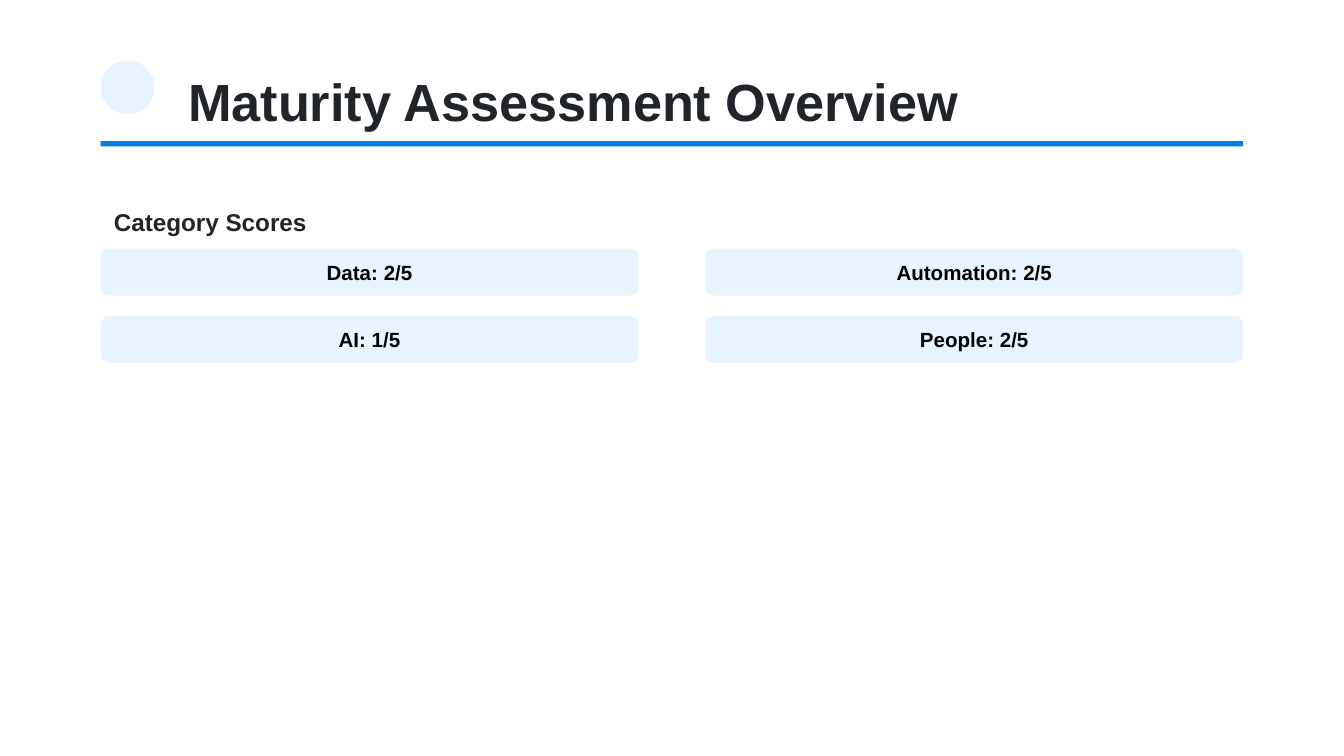
from dataclasses import dataclass

from pptx import Presentation
from pptx.dml.color import RGBColor
from pptx.enum.shapes import MSO_SHAPE
from pptx.enum.text import MSO_ANCHOR, MSO_AUTO_SIZE, PP_ALIGN
from pptx.shapes.autoshape import Shape
from pptx.slide import Slide
from pptx.util import Inches, Pt

INK = RGBColor(0x21, 0x25, 0x29)
BLACK = RGBColor(0x00, 0x00, 0x00)
BLUE = RGBColor(0x00, 0x7E, 0xE5)
PALE_BLUE = RGBColor(0xE8, 0xF4, 0xFD)
FONT = "Arial"

SLIDE_W = 10
SLIDE_H = SLIDE_W * 9 / 16
MARGIN = 0.75
CONTENT_W = SLIDE_W - 2 * MARGIN
COLUMNS = 2
COLUMN_GAP, ROW_GAP = 0.5, 0.15
CARD_W = (CONTENT_W - (COLUMNS - 1) * COLUMN_GAP) / COLUMNS
CARD_H = 0.35
CARD_PAD = 0.05
GRID_TOP = 1.85


@dataclass(frozen=True)
class Box:
    left: float
    top: float
    width: float
    height: float

    def emu(self) -> tuple[int, ...]:
        return tuple(Inches(v) for v in (self.left, self.top, self.width, self.height))


@dataclass(frozen=True)
class Score:
    category: str
    value: int
    maximum: int = 5


SCORES = [Score("Data", 2), Score("Automation", 2), Score("AI", 1), Score("People", 2)]


def write(sp: Shape, text: str, *, size: float, color: RGBColor = INK,
          align: PP_ALIGN = PP_ALIGN.LEFT) -> None:
    tf = sp.text_frame
    tf.word_wrap = True
    tf.auto_size = MSO_AUTO_SIZE.NONE
    tf.vertical_anchor = MSO_ANCHOR.MIDDLE
    p = tf.paragraphs[0]
    p.alignment = align
    r = p.add_run()
    r.text = text
    r.font.name = FONT
    r.font.size = Pt(size)
    r.font.bold = True
    r.font.color.rgb = color


def add_block(s: Slide, kind: MSO_SHAPE, box: Box, fill: RGBColor) -> None:
    """Add a flat shape with no outline or shadow."""
    sp = s.shapes.add_shape(kind, *box.emu())
    sp.shadow.inherit = False
    sp.fill.solid()
    sp.fill.fore_color.rgb = fill
    sp.line.fill.background()


def card_box(index: int) -> Box:
    row, column = divmod(index, COLUMNS)
    return Box(MARGIN + column * (CARD_W + COLUMN_GAP),
               GRID_TOP + row * (CARD_H + ROW_GAP), CARD_W, CARD_H)


def add_header(s: Slide, title: str) -> None:
    add_block(s, MSO_SHAPE.OVAL, Box(MARGIN, 0.45, 0.4, 0.4), PALE_BLUE)
    sp = s.shapes.title
    indent = 0.55
    box = Box(MARGIN + indent, 0.5, CONTENT_W - indent, 0.5)
    sp.left, sp.top, sp.width, sp.height = box.emu()
    write(sp, title, size=28)
    add_block(s, MSO_SHAPE.RECTANGLE, Box(MARGIN, 1.05, CONTENT_W, 0.04), BLUE)


def add_score(s: Slide, score: Score, box: Box) -> None:
    add_block(s, MSO_SHAPE.ROUNDED_RECTANGLE, box, PALE_BLUE)
    inner = Box(box.left, box.top + CARD_PAD, box.width, box.height - 2 * CARD_PAD)
    label = s.shapes.add_textbox(*inner.emu())
    write(label, f"{score.category}: {score.value}/{score.maximum}",
          size=11, color=BLACK, align=PP_ALIGN.CENTER)


def main() -> None:
    prs = Presentation()
    prs.slide_width, prs.slide_height = Inches(SLIDE_W), Inches(SLIDE_H)
    title_only = prs.slide_layouts[5]
    s = prs.slides.add_slide(title_only)
    add_header(s, "Maturity Assessment Overview")
    heading = s.shapes.add_textbox(*Box(MARGIN, 1.5, CONTENT_W, 0.3).emu())
    write(heading, "Category Scores", size=13)
    for i, score in enumerate(SCORES):
        add_score(s, score, card_box(i))
    prs.save("out.pptx")


if __name__ == "__main__":
    main()
